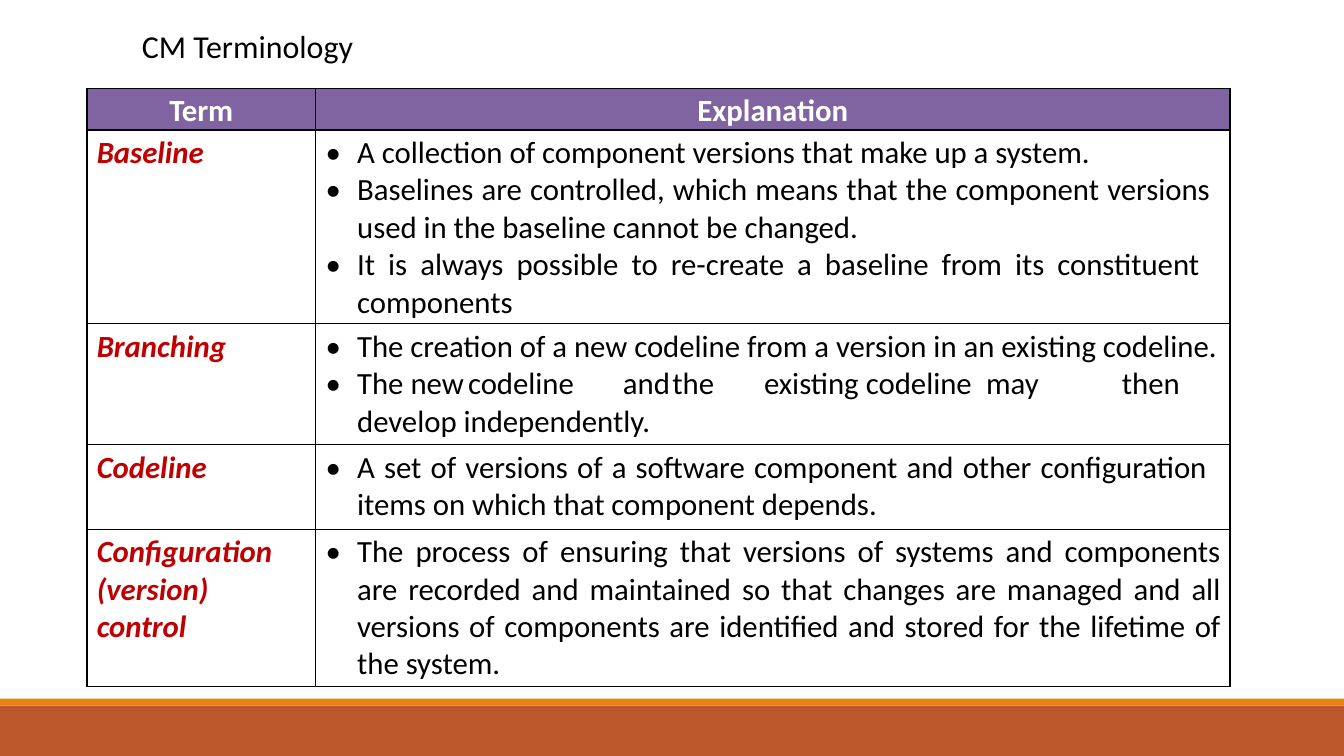
"""Build the slide that explains configuration management terms."""
from dataclasses import dataclass

from lxml.etree import SubElement
from pptx import Presentation
from pptx.dml.color import RGBColor as Color
from pptx.enum.shapes import MSO_SHAPE as Shape
from pptx.enum.text import MSO_ANCHOR as Anchor, PP_ALIGN as Align
from pptx.oxml.ns import qn
from pptx.util import Pt


@dataclass(frozen=True)
class Theme:
    """Colours and type sizes of the slide."""
    font: str = "Calibri"
    title_size: float = 22.8
    body_size: float = 22
    ink: str = "000000"
    paper: str = "FFFFFF"
    header: str = "8063A1"
    term: str = "C00000"
    bar: str = "BD582C"
    stripe: str = "E48312"


@dataclass(frozen=True)
class Point:
    """One explanation, with its alignment, right margin and tab stops."""
    text: str
    align: Align = Align.LEFT
    right: float = 0
    tabs: tuple = ()


THEME = Theme()
HANG = 22.5
INDENT = 29.7
COLUMNS = (163.3, 653.2)
HEADINGS = ("Term", "Explanation")
HEADER_HEIGHT = 29.2
TAB_STOPS = (67.9, 108.9, 181.3, 219.6, 254.9, 320.4, 393.1, 479, 576)
ENTRIES = (
    ("Baseline", 138.4, (
        Point("A collection of component versions that make up a system."),
        Point("Baselines are controlled, which means that the component versions "
              "used in the baseline cannot be changed.", Align.JUSTIFY, 14),
        Point("It is always possible to re-create a baseline from its constituent "
              "components", Align.JUSTIFY, 21.5),
    )),
    ("Branching", 86.5, (
        Point("The creation of a new codeline from a version in an existing codeline."),
        Point("The\tnew\tcodeline\tand\tthe\texisting\tcodeline\tmay\tthen\n"
              "develop independently.", tabs=TAB_STOPS),
    )),
    ("Codeline", 60.3, (
        Point("A set of versions of a software component and other configuration "
              "items on which that component depends.", Align.JUSTIFY, 16.5),
    )),
    ("Configuration (version) control", 112.4, (
        Point("The process of ensuring that versions of systems and components "
              "are recorded and maintained so that changes are managed and all "
              "versions of components are identified and stored for the lifetime of "
              "the system.", Align.JUSTIFY, 6.5),
    )),
)


def write(para, text, size=THEME.body_size, color=THEME.ink, bold=False,
          italic=False, align=Align.LEFT, left=0, right=0, hang=0):
    """Put formatted text into a paragraph, breaking lines at newlines."""
    para.alignment = align
    properties = para._p.get_or_add_pPr()
    for name, value in (("marL", left), ("marR", right), ("indent", -hang)):
        properties.set(name, str(Pt(value)))
    for index, line in enumerate(text.split("\n")):
        if index:
            para.add_line_break()
        span = para.add_run()
        span.text = line
        font = span.font
        font.name, font.size = THEME.font, Pt(size)
        font.bold, font.italic = bold, italic
        font.color.rgb = Color.from_string(color)


def add_bullet(para, tabs):
    """Give a paragraph a round bullet and left tab stops."""
    properties = para._p.get_or_add_pPr()
    SubElement(properties, qn("a:buFont"), typeface=THEME.font)
    SubElement(properties, qn("a:buChar"), char="•")
    stops = SubElement(properties, qn("a:tabLst"))
    for stop in (INDENT, *tabs):
        SubElement(stops, qn("a:tab"), pos=str(Pt(stop)), algn="l")


class Page:
    """The current slide and the theme used to draw on it."""

    def __init__(self, deck, theme):
        """Add a slide with a title placeholder."""
        self.slide = deck.slides.add_slide(deck.slide_layouts[5])
        self.theme = theme

    def bar(self, top, height, color):
        """Draw a full-width bar."""
        box = self.slide.shapes.add_shape(Shape.RECTANGLE, 0, Pt(top), Pt(960), Pt(height))
        box.shadow.inherit = False
        box.fill.solid()
        box.fill.fore_color.rgb = Color.from_string(color)
        box.line.fill.background()

    def title(self, text, left, top, width, height):
        """Place and fill the title."""
        box = self.slide.shapes.title
        box.left, box.top, box.width, box.height = map(Pt, (left, top, width, height))
        frame = box.text_frame
        frame.margin_left = frame.margin_right = frame.margin_bottom = 0
        frame.margin_top = Pt(1.4)
        frame.vertical_anchor = Anchor.TOP
        frame.word_wrap = True
        para = frame.paragraphs[0]
        para.line_spacing = 0.85
        write(para, text, size=self.theme.title_size, left=1.4)

    def cell(self, cell, fill=None):
        """Style a cell and return its text frame."""
        cell.margin_left = cell.margin_right = cell.margin_bottom = 0
        cell.margin_top = Pt(2.9)
        properties = cell._tc.get_or_add_tcPr()
        for side in ("lnL", "lnR", "lnT", "lnB"):
            line = SubElement(properties, qn(f"a:{side}"), w=str(Pt(1)))
            paint = SubElement(line, qn("a:solidFill"))
            SubElement(paint, qn("a:srgbClr"), val=self.theme.ink)
        if fill:
            cell.fill.solid()
            cell.fill.fore_color.rgb = Color.from_string(fill)
        else:
            cell.fill.background()
        return cell.text_frame

    def glossary(self, left, top):
        """Draw the table of terms."""
        heights = (HEADER_HEIGHT, *(height for _, height, _ in ENTRIES))
        table = self.slide.shapes.add_table(
            len(heights), len(COLUMNS), Pt(left), Pt(top),
            Pt(sum(COLUMNS)), Pt(sum(heights))).table
        table.horz_banding = False
        for column, width in zip(table.columns, COLUMNS):
            column.width = Pt(width)
        for row, height in zip(table.rows, heights):
            row.height = Pt(height)
        for index, heading in enumerate(HEADINGS):
            frame = self.cell(table.cell(0, index), self.theme.header)
            write(frame.paragraphs[0], heading, color=self.theme.paper,
                  bold=True, align=Align.CENTER)
        for row, (term, _, points) in enumerate(ENTRIES, 1):
            frame = self.cell(table.cell(row, 0))
            write(frame.paragraphs[0], term, color=self.theme.term,
                  bold=True, italic=True, left=7, right=21.6)
            frame = self.cell(table.cell(row, 1))
            for index, point in enumerate(points):
                para = frame.add_paragraph() if index else frame.paragraphs[0]
                add_bullet(para, point.tabs)
                write(para, point.text, align=point.align, left=INDENT,
                      right=point.right, hang=HANG)


def main():
    """Build and save the deck."""
    deck = Presentation()
    deck.slide_width, deck.slide_height = Pt(960), Pt(540)
    page = Page(deck, THEME)
    page.bar(504, 36, THEME.bar)
    page.bar(499, 5, THEME.stripe)
    page.title("CM Terminology", 100, 21.6, 396, 28.8)
    page.glossary(62.1, 63.2)
    deck.save("out.pptx")


if __name__ == "__main__":
    main()
